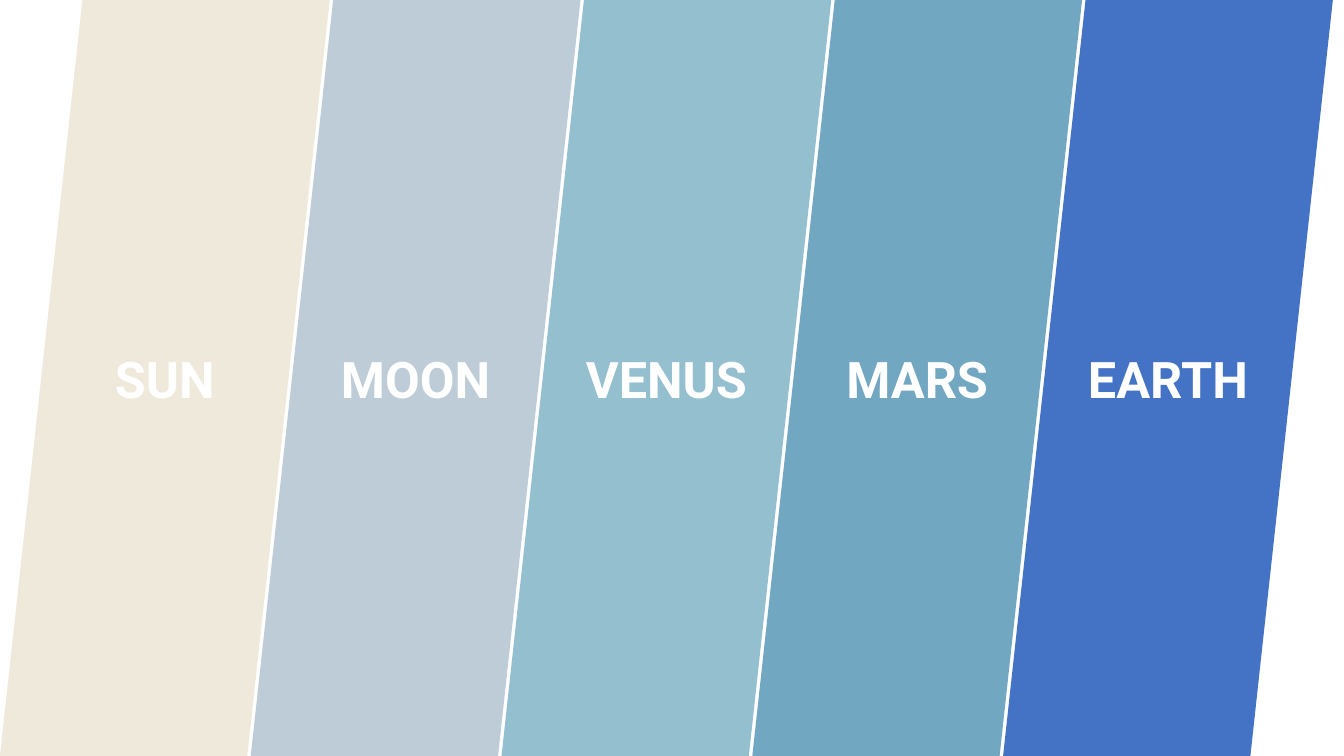
from dataclasses import dataclass

from pptx import Presentation
from pptx import util as u
from pptx.dml import color as c
from pptx.enum import shapes, text

SLIDE_WIDTH = 33.87
SLIDE_HEIGHT = 19.05
BAND_WIDTH = 8.31
BAND_STEP = 6.32


@dataclass(frozen=True)
class Band:
    label: str
    fill: str


BANDS = [
    Band("SUN", "EEE9DA"),
    Band("MOON", "BDCCD6"),
    Band("VENUS", "93BFCF"),
    Band("MARS", "72A7C2"),
    Band("EARTH", "4472C4"),
]


def rgb(value: str) -> c.RGBColor:
    return c.RGBColor.from_string(value)


def draw_band(slide, band: Band, left: float) -> None:
    shape = slide.shapes.add_shape(
        shapes.MSO_SHAPE.PARALLELOGRAM,
        u.Cm(left), u.Cm(0), u.Cm(BAND_WIDTH), u.Cm(SLIDE_HEIGHT),
    )
    shape.shadow.inherit = False
    shape.fill.solid()
    shape.fill.fore_color.rgb = rgb(band.fill)
    shape.line.fill.background()

    frame = shape.text_frame
    frame.word_wrap = True
    frame.vertical_anchor = text.MSO_ANCHOR.MIDDLE
    paragraph = frame.paragraphs[0]
    paragraph.alignment = text.PP_ALIGN.CENTER
    run = paragraph.add_run()
    run.text = band.label
    run.font.name = "Roboto"
    run.font.size = u.Pt(36)
    run.font.bold = True
    run.font.color.rgb = rgb("FFFFFF")


def main() -> None:
    presentation = Presentation()
    presentation.slide_width = u.Cm(SLIDE_WIDTH)
    presentation.slide_height = u.Cm(SLIDE_HEIGHT)
    slide = presentation.slides.add_slide(presentation.slide_layouts[6])
    for index, band in reversed(list(enumerate(BANDS))):
        draw_band(slide, band, index * BAND_STEP)
    presentation.save("out.pptx")


if __name__ == "__main__":
    main()
